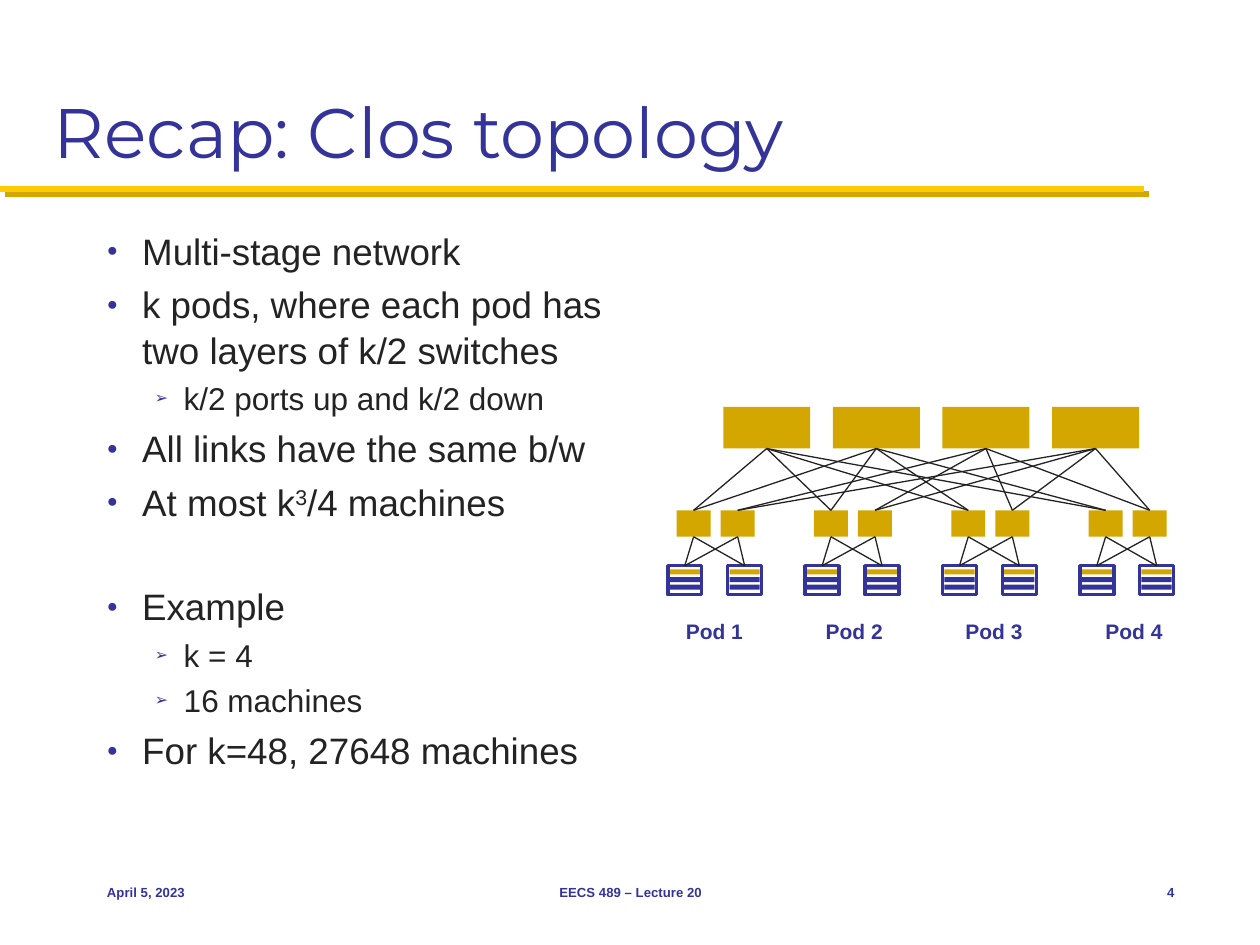
import itertools

import pptx
import pptx.dml.color
import pptx.enum.shapes
import pptx.enum.text
import pptx.oxml
import pptx.oxml.ns
import pptx.util

ALIGN = pptx.enum.text.PP_ALIGN
ANCHOR = pptx.enum.text.MSO_ANCHOR
RECTANGLE = pptx.enum.shapes.MSO_SHAPE.RECTANGLE
STRAIGHT = pptx.enum.shapes.MSO_CONNECTOR.STRAIGHT
TOP, BOTTOM = 0, 2

# Content
TITLE = "Recap: Clos topology"
# (level, text runs, blank line before); every second run is a superscript
BULLETS = [
    (0, ["Multi-stage network"], False),
    (0, ["k pods, where each pod has two layers of k/2 switches"], False),
    (1, ["k/2 ports up and k/2 down"], False),
    (0, ["All links have the same b/w"], False),
    (0, ["At most k", "3", "/4 machines"], False),
    (0, ["Example"], True),
    (1, ["k = 4"], False),
    (1, ["16 machines"], False),
    (0, ["For k=48, 27648 machines"], False),
]
PODS = ["Pod 1", "Pod 2", "Pod 3", "Pod 4"]
# (text, left, width, alignment)
FOOTERS = [
    ("April 5, 2023", 7.5, 20.8, ALIGN.LEFT),
    ("EECS 489 – Lecture 20", 34.2, 31.7, ALIGN.CENTER),
    ("4", 87.5, 6.7, ALIGN.RIGHT),
]

# Style
BLUE, GOLD, YELLOW, INK, WHITE = "333399", "D3A600", "FFCB05", "232323", "FFFFFF"
LEVELS = [
    {"size": 21, "mark": "●", "margin": 0.28, "hang": 0.28},
    {"size": 18, "mark": "➢", "margin": 0.61, "hang": 0.23},
]
LINE_SPACING = 1.04

# Grid: the slide is 100 columns by 75 rows; all positions below are in cells
COLUMNS, ROWS = 100, 75
CELL = pptx.util.Inches(0.1)
CORE_LEFT, CORE_STEP, CORE_SIZE, CORE_TOP = 57.4, 8.7, (6.9, 3.3), 32.3
POD_LEFT, POD_STEP = 53, 10.9
SWITCH_OFFSETS, SWITCH_SIZE, SWITCH_TOP = (0.7, 4.2), (2.7, 2.1), 40.5
RACK_OFFSETS, RACK_SIZE, RACK_TOP = (0, 4.75), (2.7, 2.3), 44.9
BAR_SIZE, BAR_INSET, BAR_STEP = (2.4, 0.4), (0.15, 0.3), 0.6
LABEL_LEFT, LABEL_STEP, LABEL_TOP = 53.4, 11.1, 48.6

prs = pptx.Presentation()
prs.slide_width, prs.slide_height = COLUMNS * CELL, ROWS * CELL
slide = prs.slides.add_slide(prs.slide_layouts[6])


def color(value):
    return pptx.dml.color.RGBColor.from_string(value)


def cells(*lengths):
    return [round(length * CELL) for length in lengths]


def xml(parent, markup):
    namespace = pptx.oxml.ns.nsdecls("a")
    parent.append(pptx.oxml.parse_xml(markup.replace(" ", f" {namespace} ", 1)))


def rectangle(left, top, size, fill=None, outline=None):
    box = slide.shapes.add_shape(RECTANGLE, *cells(left, top, *size))
    box.shadow.inherit = False
    if fill:
        box.fill.solid()
        box.fill.fore_color.rgb = color(fill)
    else:
        box.fill.background()
    if outline:
        box.line.color.rgb = color(outline)
        box.line.width = pptx.util.Pt(2)
    else:
        box.line.fill.background()
    return box


def line(start, end, stroke, width, effect=""):
    connector = slide.shapes.add_connector(STRAIGHT, *cells(*start, *end))
    connector.line.color.rgb = color(stroke)
    connector.line.width = pptx.util.Pt(width)
    xml(connector._element.spPr, f"<a:effectLst >{effect}</a:effectLst>")
    return connector


def link(upper, lower):
    connector = line((0, 0), (0, 0), INK, 0.75)
    connector.begin_connect(upper, BOTTOM)
    connector.end_connect(lower, TOP)


def style(font, size, ink, **formats):
    font.size = pptx.util.Pt(size)
    font.color.rgb = color(ink)
    for key, value in {"name": "Arial", **formats}.items():
        setattr(font, key, value)


def text_box(left, top, width, height, anchor=ANCHOR.TOP, wrap=True):
    box = slide.shapes.add_textbox(*cells(left, top, width, height))
    box.text_frame.word_wrap = wrap
    box.text_frame.vertical_anchor = anchor
    return box


def label(text, place, size, align, anchor=ANCHOR.TOP, wrap=True, **formats):
    box = text_box(*place, anchor, wrap)
    paragraph = box.text_frame.paragraphs[0]
    paragraph.alignment = align
    run = paragraph.add_run()
    run.text = text
    style(run.font, size, BLUE, **formats)
    return box


# Rule under the title, with its hard gold shadow
line((0, 15), (90.8, 15), YELLOW, 3.5,
     '<a:outerShdw dist="53340" dir="2700000" algn="ctr" rotWithShape="0">'
     f'<a:srgbClr val="{GOLD}"/></a:outerShdw>')

# Title
title = label(TITLE, (3.3, 1.7, 93.3, 12.5), 40, ALIGN.LEFT, ANCHOR.BOTTOM,
              name="Montserrat")
title.fill.solid()
title.fill.fore_color.rgb = color(WHITE)

# Bullets
frame = text_box(7.5, 17.5, 42.5, 48.3).text_frame
for index, (level, runs, gap) in enumerate(BULLETS):
    look = LEVELS[level]
    paragraph = frame.add_paragraph() if index else frame.paragraphs[0]
    paragraph.level = level
    paragraph.line_spacing = LINE_SPACING
    space = 0.2 * look["size"]
    blank_line = 1.15 * LINE_SPACING * look["size"] + space
    paragraph.space_before = pptx.util.Pt(space + gap * blank_line)
    properties = paragraph._p.get_or_add_pPr()
    properties.set("marL", str(pptx.util.Inches(look["margin"])))
    properties.set("indent", str(-pptx.util.Inches(look["hang"])))
    xml(properties, f'<a:buClr ><a:srgbClr val="{BLUE}"/></a:buClr>')
    xml(properties, '<a:buSzPct val="50000"/>')
    xml(properties, '<a:buFont typeface="Arial"/>')
    xml(properties, f'<a:buChar char="{look["mark"]}"/>')
    for position, text in enumerate(runs):
        run = paragraph.add_run()
        run.text = text
        style(run.font, look["size"], INK)
        if position % 2:
            run.font._element.set("baseline", "30000")

# Core switches
cores = [rectangle(CORE_LEFT + i * CORE_STEP, CORE_TOP, CORE_SIZE, GOLD)
         for i in range(len(PODS))]

# Pods: racks with three bars, two switches, full mesh between them
for index, name in enumerate(PODS):
    left = POD_LEFT + index * POD_STEP
    racks = []
    for offset in RACK_OFFSETS:
        for bar, fill in enumerate((GOLD, BLUE, BLUE)):
            rectangle(left + offset + BAR_INSET[0],
                      RACK_TOP + BAR_INSET[1] + bar * BAR_STEP, BAR_SIZE, fill)
        racks.append(rectangle(left + offset, RACK_TOP, RACK_SIZE, outline=BLUE))
    switches = [rectangle(left + offset, SWITCH_TOP, SWITCH_SIZE, GOLD)
                for offset in SWITCH_OFFSETS]
    for switch, rack in itertools.product(switches, racks):
        link(switch, rack)
    # The first half of the cores serves each pod's first switch
    for number, core in enumerate(cores):
        link(core, switches[number // 2])
    label(name, (LABEL_LEFT + index * LABEL_STEP, LABEL_TOP, 6.6, 3), 12,
          ALIGN.CENTER, wrap=False, bold=True)

# Footer
for text, left, width, align in FOOTERS:
    label(text, (left, 68.3, width, 5), 7.5, align, ANCHOR.MIDDLE, bold=True)

prs.save("out.pptx")
